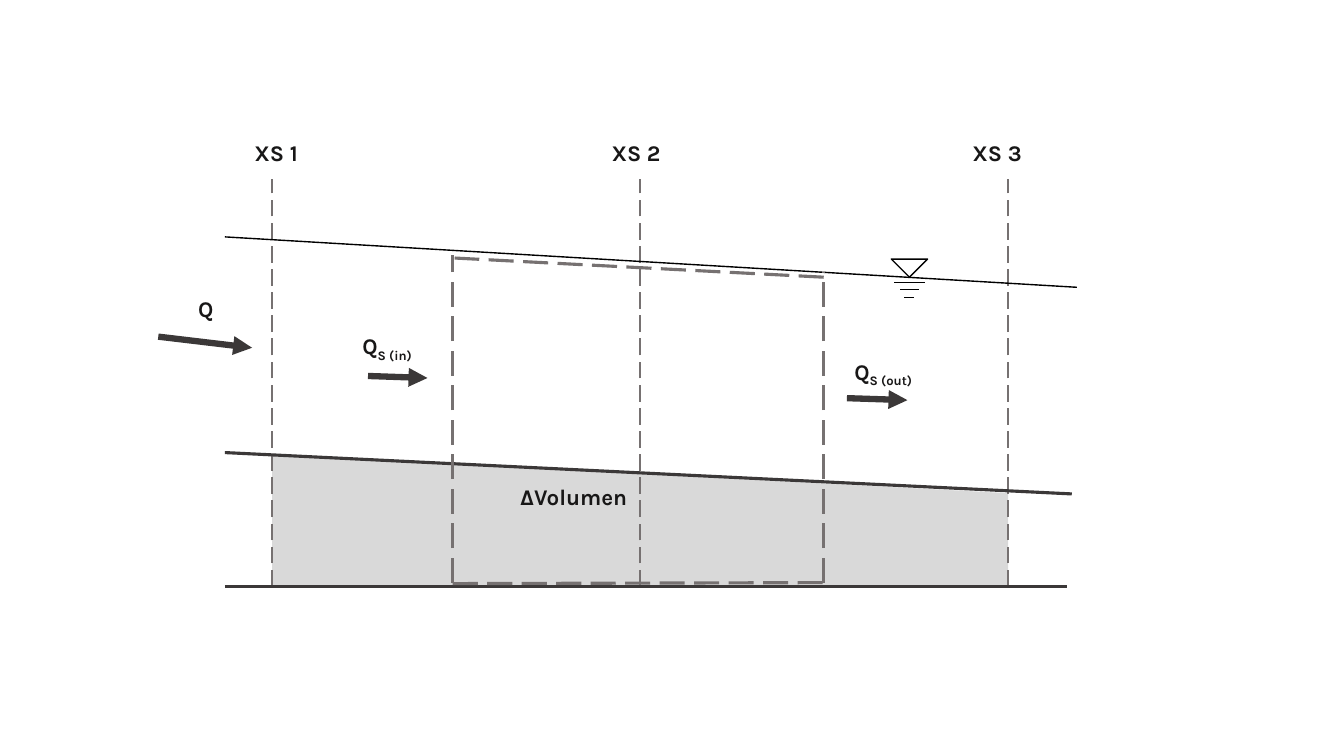
from lxml import etree
from pptx import Presentation
from pptx.dml.color import RGBColor
from pptx.enum.dml import MSO_LINE
from pptx.enum.shapes import MSO_CONNECTOR, MSO_SHAPE
from pptx.enum.text import MSO_AUTO_SIZE, PP_ALIGN
from pptx.oxml.ns import qn
from pptx.util import Emu, Pt

STRAIGHT = MSO_CONNECTOR.STRAIGHT
RECTANGLE = MSO_SHAPE.RECTANGLE
TRIANGLE = MSO_SHAPE.ISOSCELES_TRIANGLE
LONG_DASH = MSO_LINE.LONG_DASH
GROW = MSO_AUTO_SIZE.SHAPE_TO_FIT_TEXT
CENTER = PP_ALIGN.CENTER

COLORS = {
    "sediment": "D9D9D9",
    "white": "FFFFFF",
    "dash": "767171",
    "bed": "3B3838",
    "water": "000000",
    "text": "181717",
}
EMU_PER_PX = 9144
BOTTOM_SIDE = 2
SECTION_LEFT, SECTION_PITCH = 270, 365
SECTION_TOP, BASE = 178, 582


def px(length):
    return Emu(length * EMU_PER_PX)


def color(name):
    return RGBColor.from_string(COLORS[name])


def add_area(drawing, kind, left, top, width, height, fill=None, line=None, rotation=0):
    area = drawing.shapes.add_shape(kind, px(left), px(top), px(width), px(height))
    area.shadow.inherit = False
    area.rotation = rotation
    if fill:
        area.fill.solid()
        area.fill.fore_color.rgb = color(fill)
    else:
        area.fill.background()
    if line:
        area.line.color.rgb = color(line)
        area.line.width = Pt(1)
    else:
        area.line.fill.background()
    return area


def add_line(drawing, start, end, ink, width, dash=None, arrow=False):
    line = drawing.shapes.add_connector(STRAIGHT, *map(px, (*start, *end)))
    line.line.color.rgb = color(ink)
    line.line.width = Pt(width)
    if dash:
        line.line.dash_style = dash
    if arrow:
        outline = line.line._get_or_add_ln()
        etree.SubElement(outline, qn("a:tailEnd"), type="triangle")
    etree.SubElement(line._element.spPr, qn("a:effectLst"))
    return line


def add_label(drawing, text, left, top, subscript=None, size=16, font="Karla", ink="text"):
    box = drawing.shapes.add_textbox(px(left), px(top), px(142), px(37))
    frame = box.text_frame
    frame.word_wrap = True
    frame.auto_size = GROW
    para = frame.paragraphs[0]
    para.alignment = CENTER
    for part in filter(None, (text, subscript)):
        span = para.add_run()
        span.text = part
        span.font.name = font
        span.font.size = Pt(size)
        span.font.bold = True
        span.font.color.rgb = color(ink)
        if part == subscript:
            span.font._element.set("baseline", "-25000")


def add_sections(drawing, sediment):
    for index, label_left in enumerate((203, 560, 918)):
        x = SECTION_LEFT + index * SECTION_PITCH
        section = add_line(drawing, (x, BASE), (x, SECTION_TOP), "dash", 1.5, dash=LONG_DASH)
        if index == 1:
            section.begin_connect(sediment, BOTTOM_SIDE)
        add_label(drawing, f"XS {index + 1}", label_left, 133)


def add_water_level(drawing, center):
    add_area(drawing, TRIANGLE, center - 18, 257, 36, 18, line="water", rotation=180)
    for y, half in ((280, 15), (287, 9), (295, 5)):
        add_line(drawing, (center - half, y), (center + half, y), "water", 1)


def add_control_volume(drawing):
    edges = (
        ((449, 578), (449, 253)),
        ((817, 578), (817, 270)),
        ((817, 275), (451, 256)),
        ((449, 579), (817, 578)),
    )
    for start, end in edges:
        add_line(drawing, start, end, "dash", 2.25, dash=LONG_DASH)


def add_flows(drawing):
    flows = (
        ((157, 334), (250, 345), (133, 288), None),
        ((365, 373), (424, 375), (313, 325), "S (in)"),
        ((840, 395), (900, 397), (805, 350), "S (out)"),
    )
    for start, end, corner, subscript in flows:
        add_line(drawing, start, end, "bed", 4.5, arrow=True)
        add_label(drawing, "Q", *corner, subscript=subscript)


def main():
    deck = Presentation()
    deck.slide_width, deck.slide_height = px(1333), px(750)
    page = deck.slides.add_slide(deck.slide_layouts[6])
    drawing = page.shapes.add_group_shape()
    sediment = add_area(
        drawing, RECTANGLE, SECTION_LEFT, 367, 2 * SECTION_PITCH, BASE - 367, fill="sediment"
    )
    add_area(drawing, RECTANGLE, 258, 335, 754, 135, fill="white", rotation=3)
    add_sections(drawing, sediment)
    add_line(drawing, (223, 449), (1063, 490), "bed", 2.25)
    add_line(drawing, (223, 235), (1068, 285), "water", 1)
    add_water_level(drawing, 902)
    add_line(drawing, (223, BASE), (1058, BASE), "bed", 2.25)
    add_control_volume(drawing)
    add_flows(drawing)
    add_label(drawing, "ΔVolumen", 498, 474)
    deck.save("out.pptx")


if __name__ == "__main__":
    main()
